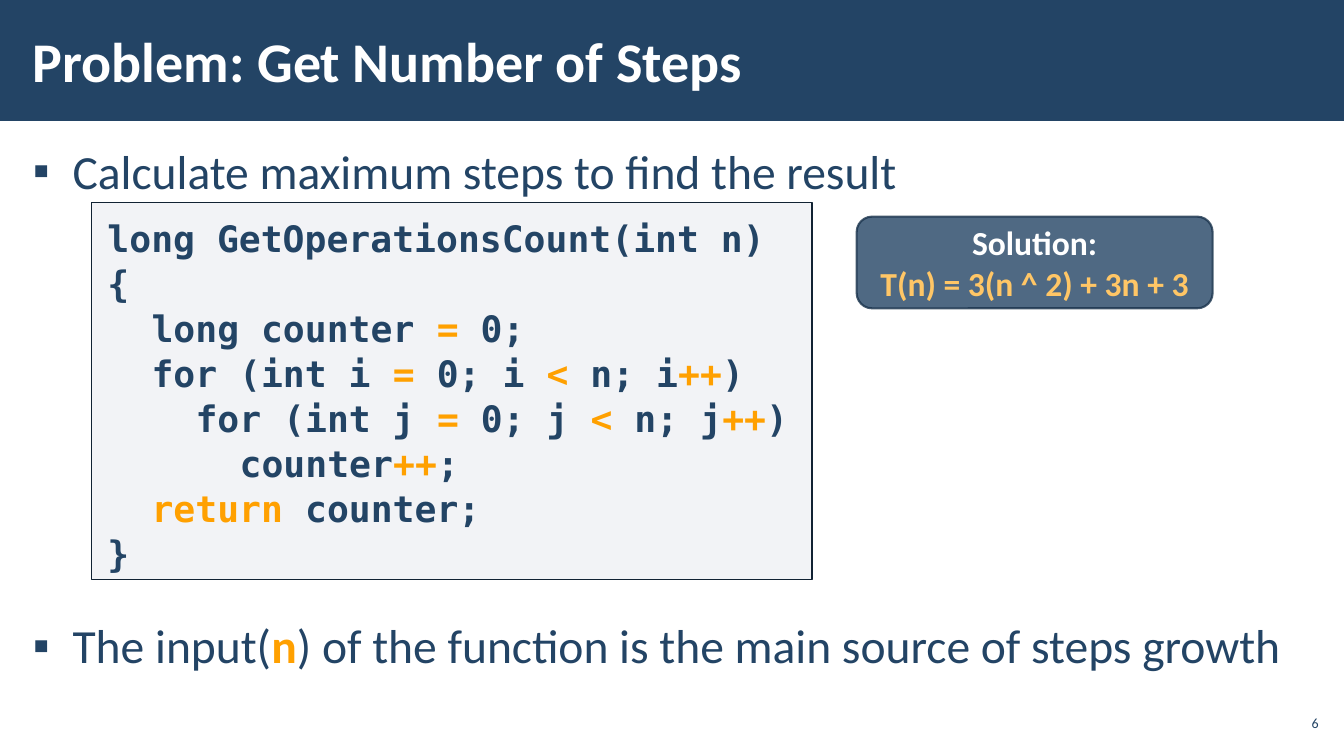
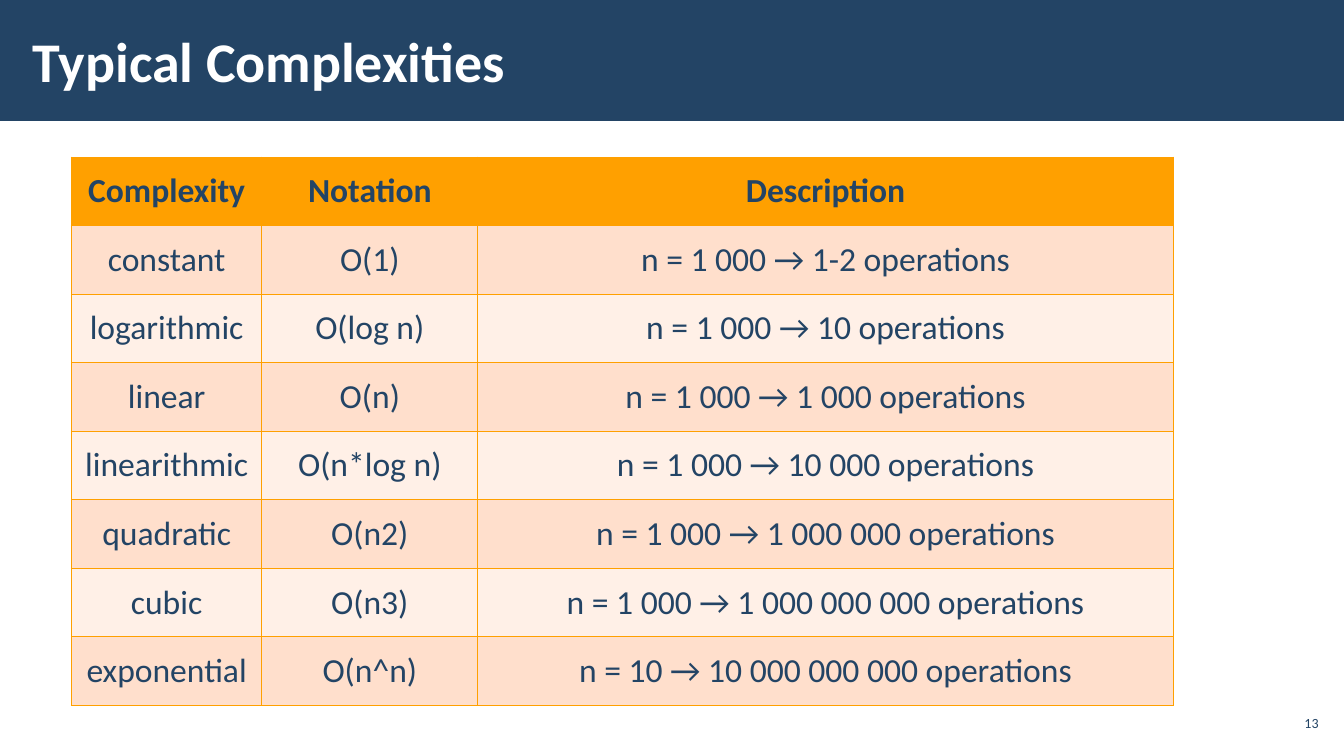
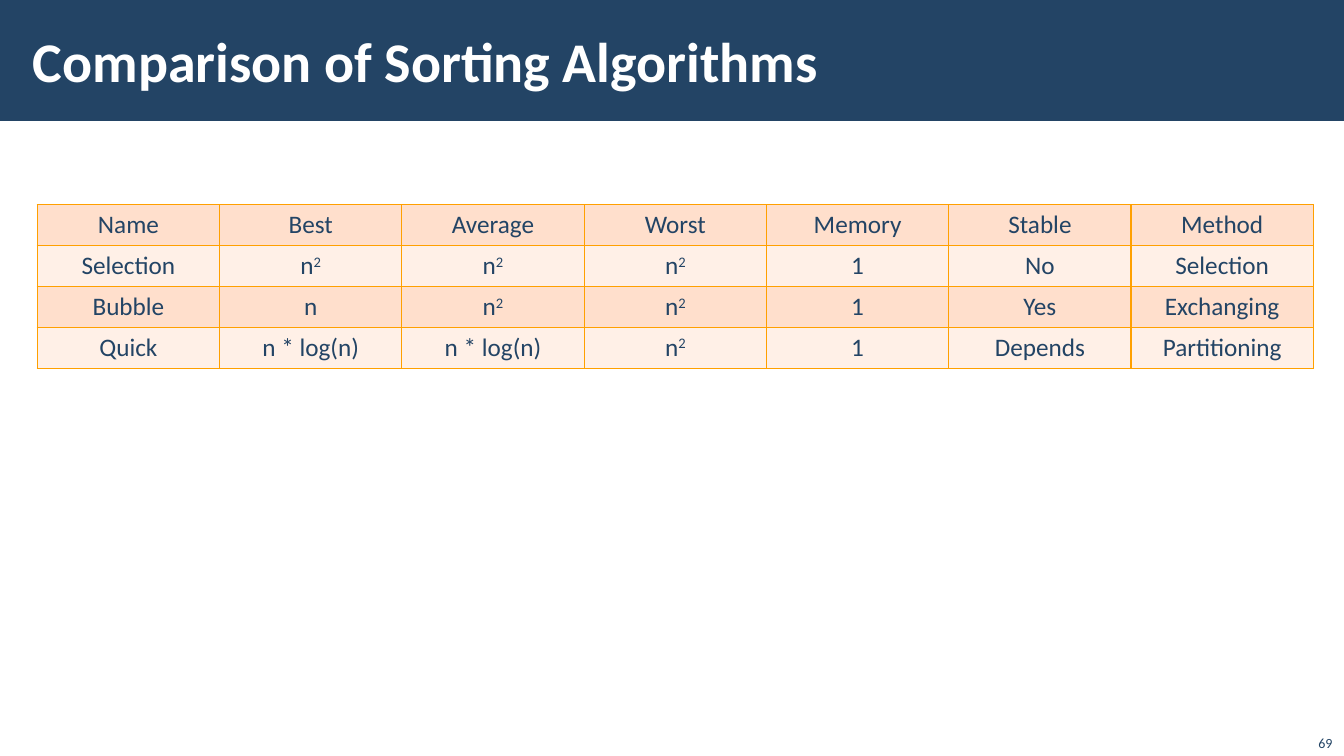
from typing import NamedTuple

from lxml.etree import SubElement
from pptx import Presentation
from pptx.dml.color import RGBColor
from pptx.enum.shapes import MSO_SHAPE as Shape
from pptx.enum.text import MSO_ANCHOR as Anchor, MSO_AUTO_SIZE as AutoSize, PP_ALIGN as Align
from pptx.oxml.ns import qn
from pptx.util import Cm, Pt

NAVY = RGBColor(0x23, 0x44, 0x65)
DARK_NAVY = RGBColor(0x1A, 0x33, 0x4C)
INK = RGBColor(0x11, 0x22, 0x33)
WHITE = RGBColor(0xFF, 0xFF, 0xFF)
ORANGE = RGBColor(0xFF, 0xA0, 0x00)
LIGHT_ORANGE = RGBColor(0xFF, 0xC6, 0x66)
PEACH = RGBColor(0xFF, 0xDF, 0xCC)
PALE_PEACH = RGBColor(0xFF, 0xF0, 0xE7)
GREY_BLUE = RGBColor(0xAD, 0xB4, 0xC3)

SANS = "Calibri"
MONO = "DejaVu Sans Mono"
TITLE_AND_BODY, TITLE_ONLY = 1, 5
CODE_INDENT = 1.11


class Box(NamedTuple):
    """A rectangle in centimetres."""
    left: float
    top: float
    width: float
    height: float

    def lengths(self):
        return [Cm(value) for value in self]


BAND = Box(0, 0, 33.87, 3.05)
TITLE = Box(0.53, 0.28, 27, 2.46)
NUMBER = Box(32.13, 17.78, 1.2, 0.86)
CORNER_NUMBER = Box(32.48, 18.41, 1.2, 0.64)
BODY = Box(0.53, 3.33, 32.82, 15.37)
CODE = Box(2.31, 5.11, 18.16, 9.5)
SOLUTION = Box(21.59, 5.46, 8.97, 2.31)
COMPLEXITIES = Box(1.8, 3.96, 27.77, 13.82)
SORTING = Box(0.94, 5.16, 32.16, 4.12)

CODE_LINES = [
    (0, "long GetOperationsCount(int n)"),
    (0, "{"),
    (1, "long counter |=| 0;"),
    (1, "for (int i |=| 0; i |<| n; i|++|)"),
    (2, "for (int j |=| 0; j |<| n; j|++|)"),
    (3, "counter|++|;"),
    (1, "|return| counter;"),
    (0, "}"),
]

COMPLEXITY_ROWS = [
    ("Complexity", "Notation", "Description"),
    ("constant", "O(1)", "n = 1 000 → 1-2 operations"),
    ("logarithmic", "O(log n)", "n = 1 000 → 10 operations"),
    ("linear", "O(n)", "n = 1 000 → 1 000 operations"),
    ("linearithmic", "O(n*log n)", "n = 1 000 → 10 000 operations"),
    ("quadratic", "O(n2)", "n = 1 000 → 1 000 000 operations"),
    ("cubic", "O(n3)", "n = 1 000 → 1 000 000 000 operations"),
    ("exponential", "O(n^n)", "n = 10 → 10 000 000 000 operations"),
]

SORTING_ROWS = [
    ("Name", "Best", "Average", "Worst", "Memory", "Stable", "Method"),
    ("Selection", "n|2", "n|2", "n|2", "1", "No", "Selection"),
    ("Bubble", "n", "n|2", "n|2", "1", "Yes", "Exchanging"),
    ("Quick", "n * log(n)", "n * log(n)", "n|2", "1", "Depends", "Partitioning"),
]


def write(para, marked, size, color=NAVY, bold=False, font=SANS):
    """Fill a paragraph and return the spans that stand between bars."""
    special = []
    for index, text in enumerate(marked.split("|")):
        if not text:
            continue
        span = para.add_run()
        span.text = text
        span.font.name, span.font.size = font, Pt(size)
        span.font.bold, span.font.color.rgb = bold, color
        if index % 2:
            special.append(span)
    return special


def highlight(spans):
    for span in spans:
        span.font.bold, span.font.color.rgb = True, ORANGE


def set_frame(frame, anchor, side, end):
    """Wrap the text, anchor it and set its side and end insets."""
    frame.word_wrap = True
    frame.auto_size = AutoSize.NONE
    frame.vertical_anchor = anchor
    frame.margin_left = frame.margin_right = Cm(side)
    frame.margin_top = frame.margin_bottom = Cm(end)


def get_paragraph(frame, index):
    return frame.add_paragraph() if index else frame.paragraphs[0]


def set_indent(para, left, first=0):
    properties = para._p.get_or_add_pPr()
    properties.set("marL", str(Cm(left)))
    properties.set("indent", str(Cm(first)))
    return properties


def set_opacity(holder, percent):
    color = holder.find(qn("a:solidFill")).find(qn("a:srgbClr"))
    SubElement(color, qn("a:alpha")).set("val", str(percent * 1000))


def add_panel(page, box, kind, fill, line=None, width=1):
    panel = page.shapes.add_shape(kind, *box.lengths())
    panel.shadow.inherit = False
    panel.fill.solid()
    panel.fill.fore_color.rgb = fill
    if line is None:
        panel.line.fill.background()
    else:
        panel.line.color.rgb = line
        panel.line.width = Pt(width)
    return panel


def place(shape, box):
    shape.left, shape.top, shape.width, shape.height = box.lengths()


def add_page(deck, layout, title, number, number_box=NUMBER):
    page = deck.slides.add_slide(deck.slide_layouts[layout])
    band = add_panel(page, BAND, Shape.RECTANGLE, NAVY)
    page.shapes._spTree.insert(2, band._element)

    heading = page.shapes.title
    place(heading, TITLE)
    set_frame(heading.text_frame, Anchor.MIDDLE, 0.3, 0.1)
    para = heading.text_frame.paragraphs[0]
    para.alignment = Align.LEFT
    write(para, title, 40, WHITE, bold=True)

    label = page.shapes.add_textbox(*number_box.lengths())
    set_frame(label.text_frame, Anchor.MIDDLE, 0.1, 0.1)
    para = label.text_frame.paragraphs[0]
    para.alignment = Align.RIGHT
    write(para, str(number), 10)
    return page


def fill_body(page, box, items):
    """Write the bullets, each given with the points of space before it."""
    body = page.placeholders[1]
    place(body, box)
    frame = body.text_frame
    set_frame(frame, Anchor.TOP, 0.3, 0.1)
    for index, (space, text) in enumerate(items):
        para = get_paragraph(frame, index)
        para.line_spacing = 1.1
        para.space_before, para.space_after = Pt(space), Pt(6)
        properties = set_indent(para, 1, -1)
        SubElement(properties, qn("a:buChar")).set("char", "▪")
        highlight(write(para, text, 34))


def add_code(page, box, lines):
    panel = add_panel(page, box, Shape.RECTANGLE, GREY_BLUE, INK)
    set_opacity(panel._element.spPr, 15)
    frame = panel.text_frame
    set_frame(frame, Anchor.TOP, 0.4, 0.3)
    for index, (level, text) in enumerate(lines):
        para = get_paragraph(frame, index)
        para.alignment = Align.LEFT
        para.line_spacing = 1.03
        set_indent(para, level * CODE_INDENT)
        highlight(write(para, text, 26, bold=True, font=MONO))


def add_solution(page, box):
    panel = add_panel(page, box, Shape.ROUNDED_RECTANGLE, NAVY, DARK_NAVY, 1.5)
    properties = panel._element.spPr
    for holder in (properties, properties.find(qn("a:ln"))):
        set_opacity(holder, 80)
    set_frame(panel.text_frame, Anchor.MIDDLE, 0.25, 0.13)
    lines = [("Solution:", WHITE), ("T(n) = 3(n ^ 2) + 3n + 3", LIGHT_ORANGE)]
    for index, (text, color) in enumerate(lines):
        para = get_paragraph(panel.text_frame, index)
        para.alignment = Align.CENTER
        write(para, text, 24, color, bold=True)


def set_borders(cell):
    properties = cell._tc.get_or_add_tcPr()
    for side in ("a:lnL", "a:lnR", "a:lnT", "a:lnB"):
        line = SubElement(properties, qn(side))
        line.set("w", str(Pt(1)))
        fill = SubElement(line, qn("a:solidFill"))
        SubElement(fill, qn("a:srgbClr")).set("val", str(ORANGE))


def add_grid(page, box, rows, widths, size, anchor, header):
    """Add a banded table; header tells whether the first row stands out."""
    frame = page.shapes.add_table(len(rows), len(widths), *box.lengths())
    table = frame.table
    table.first_row = header
    for column, width in zip(table.columns, widths):
        column.width = Cm(width)
    for row_index, texts in enumerate(rows):
        table.rows[row_index].height = Cm(box.height / len(rows))
        is_header = header and row_index == 0
        band = PALE_PEACH if (row_index - header) % 2 else PEACH
        for column_index, text in enumerate(texts):
            cell = table.cell(row_index, column_index)
            set_borders(cell)
            cell.fill.solid()
            cell.fill.fore_color.rgb = ORANGE if is_header else band
            cell.vertical_anchor = anchor
            para = cell.text_frame.paragraphs[0]
            para.alignment = Align.CENTER
            for span in write(para, text, size, bold=is_header):
                span.font._element.set("baseline", "30000")


def build_steps(deck):
    page = add_page(deck, TITLE_AND_BODY, "Problem: Get Number of Steps", 6)
    fill_body(page, BODY, [
        (6, "Calculate maximum steps to find the result"),
        (288, "The input(|n|) of the function is the main source of steps growth"),
    ])
    add_code(page, CODE, CODE_LINES)
    add_solution(page, SOLUTION)


def build_complexities(deck):
    page = add_page(deck, TITLE_ONLY, "Typical Complexities", 13)
    add_grid(page, COMPLEXITIES, COMPLEXITY_ROWS, [4.8, 5.44, 17.53], 24,
             Anchor.MIDDLE, header=True)


def build_sorting(deck):
    page = add_page(deck, TITLE_ONLY, "Comparison of Sorting Algorithms", 69,
                    CORNER_NUMBER)
    count = len(SORTING_ROWS[0])
    add_grid(page, SORTING, SORTING_ROWS, [SORTING.width / count] * count, 18,
             Anchor.TOP, header=False)


def main():
    deck = Presentation()
    deck.slide_width, deck.slide_height = Cm(33.87), Cm(19.05)
    build_steps(deck)
    build_complexities(deck)
    build_sorting(deck)
    deck.save("out.pptx")


if __name__ == "__main__":
    main()
